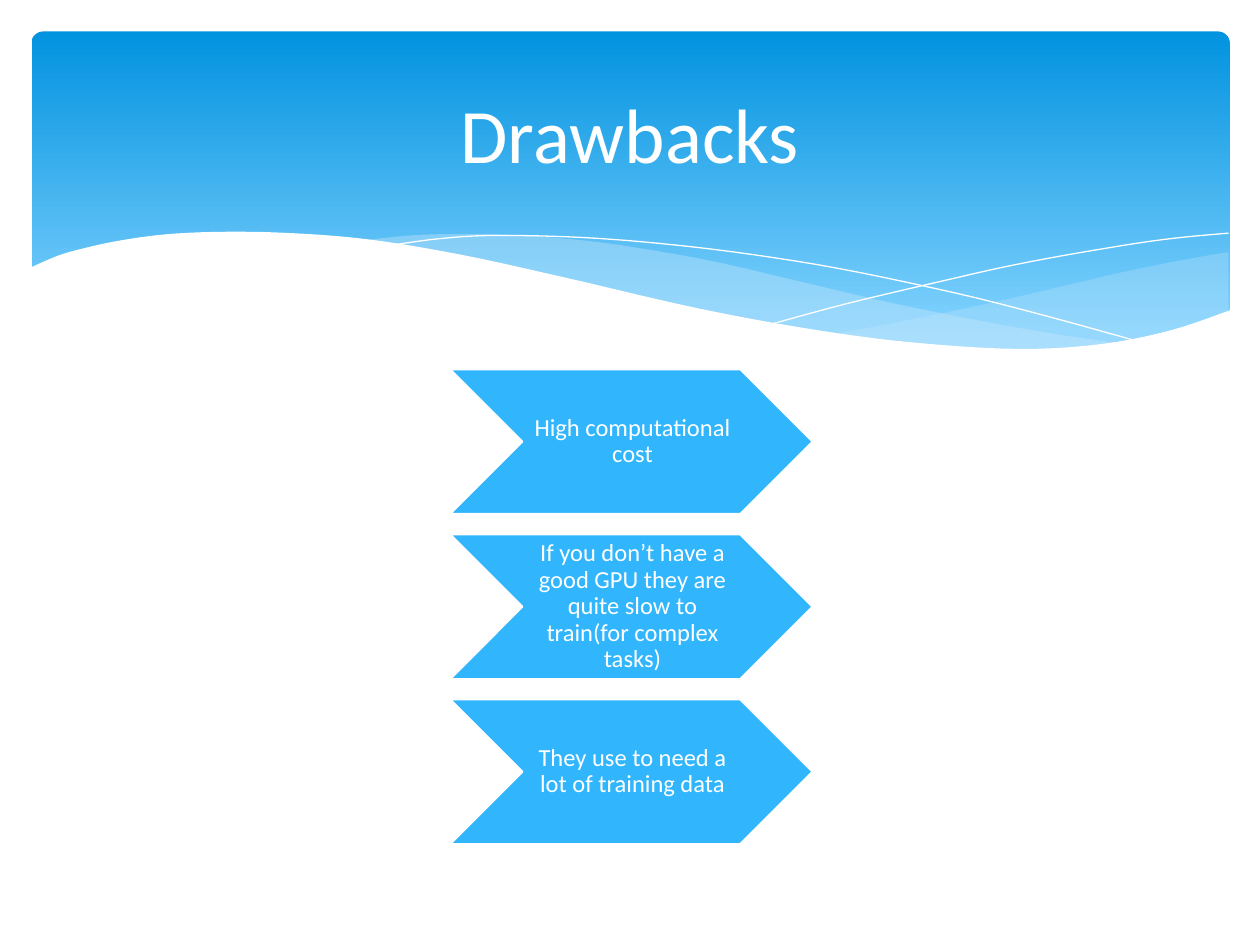
from lxml import etree
from pptx import Presentation
from pptx import util as u
from pptx.dml.color import RGBColor
from pptx.enum import shapes, text
from pptx.oxml import ns

PX = 9144  # EMU in one px, at 100 px to the inch
FONT = "Calibri"
WHITE = RGBColor(0xFF, 0xFF, 0xFF)
SKY_DEEP = RGBColor(0x02, 0x93, 0xE0)
SKY_LIGHT = RGBColor(0x83, 0xD3, 0xFE)
MIST = RGBColor(0xC6, 0xE7, 0xFC)
CHEVRON_BLUE = RGBColor(0x31, 0xB6, 0xFD)

# Knots of the header curves, relative to the header's top left corner
RIGHT_SWELL = [
    [(950, 175), (910, 182), (866, 191), (836, 198), (754, 217), (681, 232),
     (636, 240)],
    [(636, 240), (694, 246), (744, 252), (789, 253), (838, 250), (880, 244),
     (917, 234), (950, 222)],
]
LEFT_SWELL = [
    [(868, 248), (812, 240), (750, 229), (681, 215), (604, 197), (544, 183),
     (489, 173), (440, 166), (374, 161), (319, 161), (288, 163), (261, 166)],
    [(261, 166), (317, 174), (379, 186), (424, 197), (505, 215), (576, 230),
     (640, 241), (697, 249), (748, 252), (803, 253), (851, 250), (868, 248)],
]
FALLING_LINE = [
    [(284, 170), (319, 165), (362, 162), (425, 163), (485, 167), (557, 175),
     (640, 188), (735, 208), (806, 226), (882, 247)],
]
RISING_LINE = [
    [(588, 232), (647, 216), (723, 198), (781, 185), (841, 174), (899, 165),
     (950, 160)],
]
WHITE_WAVE = [
    [(952, 221), (905, 237), (850, 248), (784, 252), (701, 247), (623, 237),
     (530, 220), (422, 195), (340, 177), (267, 165), (205, 160), (152, 159),
     (107, 161), (70, 166), (42, 172), (21, 178), (-2, 188)],
    [(-2, 304), (952, 304)],
]

DRAWBACKS = [
    "High computational cost",
    "If you don’t have a good GPU they are quite slow to train(for complex tasks)",
    "They use to need a lot of training data",
]


def apply(target, values):
    for name, value in values.items():
        setattr(target, name, value)


def smooth(knots, steps=5):
    """Points of a Catmull-Rom curve through the knots."""
    padded = [knots[0], *knots, knots[-1]]
    points = [knots[0]]
    for a, b, c, d in zip(padded, padded[1:], padded[2:], padded[3:]):
        for step in range(1, steps + 1):
            t = step / steps
            points.append(tuple(
                (2 * q + (r - p) * t + (2 * p - 5 * q + 4 * r - s) * t ** 2
                 + (3 * q - p - 3 * r + s) * t ** 3) / 2
                for p, q, r, s in zip(a, b, c, d)))
    return points


def add_preset(slide, kind, box):
    shape = slide.shapes.add_shape(kind, *(v * PX for v in box))
    shape.shadow.inherit = False
    return shape


def add_curve(slide, origin, curves, fill=None, opacity=100):
    """A filled wave, or a white hairline when there is no fill."""
    left, top = origin
    points = [((left + x) * PX, (top + y) * PX)
              for curve in curves for x, y in smooth(curve)]
    builder = slide.shapes.build_freeform(*points[0])
    builder.add_line_segments(points[1:], close=fill is not None)
    wave = builder.convert_to_shape()
    wave.shadow.inherit = False
    if fill is None:
        wave.fill.background()
        wave.line.color.rgb = WHITE
        wave.line.width = 0
        return
    wave.line.fill.background()
    wave.fill.solid()
    wave.fill.fore_color.rgb = fill
    if opacity < 100:
        color = wave.fill._xPr.find(".//" + ns.qn("a:srgbClr"))
        etree.SubElement(color, ns.qn("a:alpha"), val=str(opacity * 1000))


def add_text(slide, box, words, size, margins, paragraph_format):
    label = slide.shapes.add_textbox(*(v * PX for v in box))
    frame = label.text_frame
    sides = ("margin_left", "margin_top", "margin_right", "margin_bottom")
    apply(frame, dict(zip(sides, (m * PX for m in margins)), word_wrap=True,
                      vertical_anchor=text.MSO_ANCHOR.MIDDLE))
    paragraph = frame.paragraphs[0]
    apply(paragraph, {"alignment": text.PP_ALIGN.CENTER, **paragraph_format})
    run = paragraph.add_run()
    run.text = words
    apply(run.font, {"name": FONT, "size": u.Pt(size)})
    run.font.color.rgb = WHITE


def add_header(slide, box):
    # Gradient panel
    panel = add_preset(slide, shapes.MSO_SHAPE.ROUNDED_RECTANGLE, box)
    panel.adjustments[0] = 0.034
    panel.line.fill.background()
    panel.fill.gradient()
    panel.fill.gradient_angle = 270
    for stop, position, color in zip(panel.fill.gradient_stops, (0, 0.9),
                                     (SKY_DEEP, SKY_LIGHT)):
        stop.position = position
        stop.color.rgb = color

    # Waves, back to front
    origin = box[:2]
    add_curve(slide, origin, RIGHT_SWELL, MIST, 29)
    add_curve(slide, origin, LEFT_SWELL, MIST, 40)
    add_curve(slide, origin, FALLING_LINE)
    add_curve(slide, origin, RISING_LINE)
    add_curve(slide, origin, WHITE_WAVE, WHITE)


def add_title(slide, box):
    add_text(slide, box, "Drawbacks", 44, (10, 5, 10, 5), {})


def add_chevrons(slide, box, items, gap=16):
    left, top, width, height = box
    row = (height - gap * (len(items) - 1)) // len(items)
    inset = row // 2  # depth of the chevron's notch
    for index, words in enumerate(items):
        y = top + index * (row + gap)
        chevron = add_preset(slide, shapes.MSO_SHAPE.CHEVRON,
                             (left, y, width, row))
        chevron.fill.solid()
        chevron.fill.fore_color.rgb = CHEVRON_BLUE
        chevron.line.color.rgb = WHITE
        chevron.line.width = u.Pt(1.25)
        add_text(slide, (left + inset, y, width - 2 * inset, row), words, 14,
                 (2, 1, 0, 1), {"line_spacing": 0.9, "space_after": u.Pt(5)})


def main():
    deck = Presentation()
    apply(deck, {"slide_width": 1000 * PX, "slide_height": 750 * PX})
    slide = deck.slides.add_slide(deck.slide_layouts[6])
    add_header(slide, (25, 25, 951, 270))
    add_chevrons(slide, (357, 293, 288, 377), DRAWBACKS)
    add_title(slide, (50, 37, 900, 137))
    deck.save("out.pptx")


if __name__ == "__main__":
    main()
